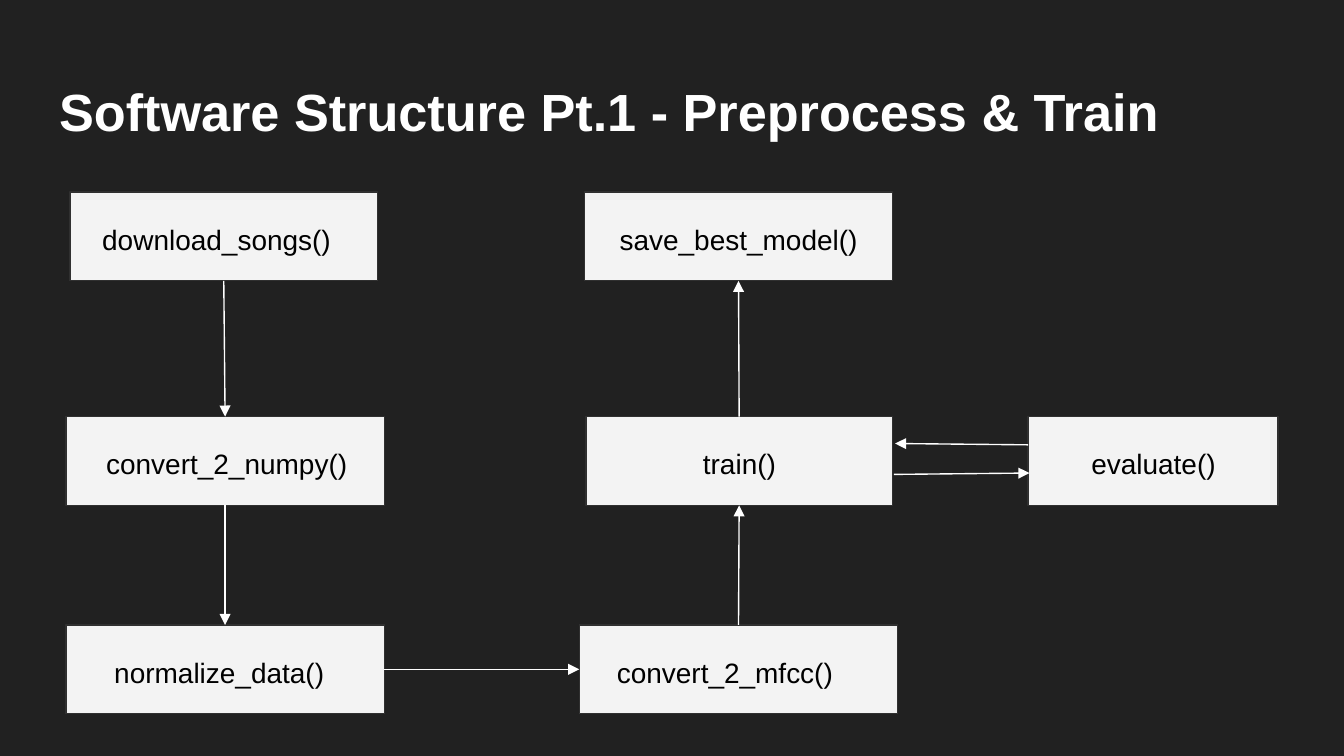
from lxml.etree import SubElement
from pptx import Presentation
from pptx.dml.color import RGBColor
from pptx.enum.shapes import MSO_CONNECTOR, MSO_SHAPE
from pptx.enum.text import MSO_ANCHOR, MSO_AUTO_SIZE, PP_ALIGN
from pptx.oxml.ns import qn
from pptx.util import Inches, Pt

TOP, LEFT, BOTTOM, RIGHT = range(4)
ROWS = (1.43, 3.1, 4.65)
BOX_HEIGHT = 0.66

BOXES = [
    ("download_songs()", 0.52, 0, 2.29, 0.24),
    ("convert_2_numpy()", 0.49, 1, 2.37, 0.3),
    ("normalize_data()", 0.49, 2, 2.37, 0.36),
    ("convert_2_mfcc()", 4.31, 2, 2.37, 0.28),
    ("train()", 4.36, 1, 2.28, 0.87),
    ("evaluate()", 7.65, 1, 1.86, 0.47),
    ("save_best_model()", 4.35, 0, 2.29, 0.26),
]

FLOWS = [
    ("download_songs()", BOTTOM, "convert_2_numpy()", TOP),
    ("convert_2_numpy()", BOTTOM, "normalize_data()", TOP),
    ("normalize_data()", RIGHT, "convert_2_mfcc()", LEFT),
    ("convert_2_mfcc()", TOP, "train()", BOTTOM),
    ("train()", TOP, "save_best_model()", BOTTOM),
]


def rgb(color):
    return RGBColor.from_string(color)


def add_text(tf, text, size, color, bold=False):
    p = tf.paragraphs[0]
    p.alignment = PP_ALIGN.LEFT
    r = p.add_run()
    r.text = text
    r.font.name = "Arial"
    r.font.size = Pt(size)
    r.font.bold = bold
    r.font.color.rgb = rgb(color)


def set_title(s, text):
    sp = s.shapes.title
    sp.left, sp.top = Inches(0.34), Inches(0.49)
    sp.width, sp.height = Inches(9.32), Inches(0.63)
    tf = sp.text_frame
    tf.auto_size = MSO_AUTO_SIZE.NONE
    tf.vertical_anchor = MSO_ANCHOR.TOP
    tf.margin_left = tf.margin_right = Inches(0.1)
    tf.margin_top = tf.margin_bottom = Inches(0.1)
    add_text(tf, text, 28, "FFFFFF", bold=True)


def add_box(s, text, left, row, width, indent):
    sp = s.shapes.add_shape(
        MSO_SHAPE.RECTANGLE,
        Inches(left), Inches(ROWS[row]), Inches(width), Inches(BOX_HEIGHT),
    )
    sp.shadow.inherit = False
    sp.fill.solid()
    sp.fill.fore_color.rgb = rgb("F3F3F3")
    sp.line.color.rgb = rgb("303030")
    sp.line.width = Pt(0.75)
    tf = sp.text_frame
    tf.word_wrap = True
    tf.vertical_anchor = MSO_ANCHOR.MIDDLE
    tf.margin_left, tf.margin_right = Inches(indent), 0
    tf.margin_top, tf.margin_bottom = Inches(0.04), 0
    add_text(tf, text, 15, "000000")
    return sp


def add_arrow(s, x1=0, y1=0, x2=0, y2=0):
    cxn = s.shapes.add_connector(
        MSO_CONNECTOR.STRAIGHT, Inches(x1), Inches(y1), Inches(x2), Inches(y2)
    )
    cxn.line.color.rgb = rgb("FFFFFF")
    cxn.line.width = Pt(0.75)
    sp_pr = cxn._element.spPr
    SubElement(sp_pr.find(qn("a:ln")), qn("a:tailEnd"), type="triangle")
    SubElement(sp_pr, qn("a:effectLst"))
    return cxn


def main():
    prs = Presentation()
    prs.slide_width, prs.slide_height = Inches(10), Inches(5.625)
    s = prs.slides.add_slide(prs.slide_layouts[5])
    s.background.fill.solid()
    s.background.fill.fore_color.rgb = rgb("212121")
    set_title(s, "Software Structure Pt.1 - Preprocess & Train")

    boxes = {box[0]: add_box(s, *box) for box in BOXES}
    for source, start, target, end in FLOWS:
        cxn = add_arrow(s)
        cxn.begin_connect(boxes[source], start)
        cxn.end_connect(boxes[target], end)

    add_arrow(s, 6.65, 3.53, 7.66, 3.52)
    add_arrow(s, 7.65, 3.31, 6.66, 3.3)
    prs.save("out.pptx")


if __name__ == "__main__":
    main()
